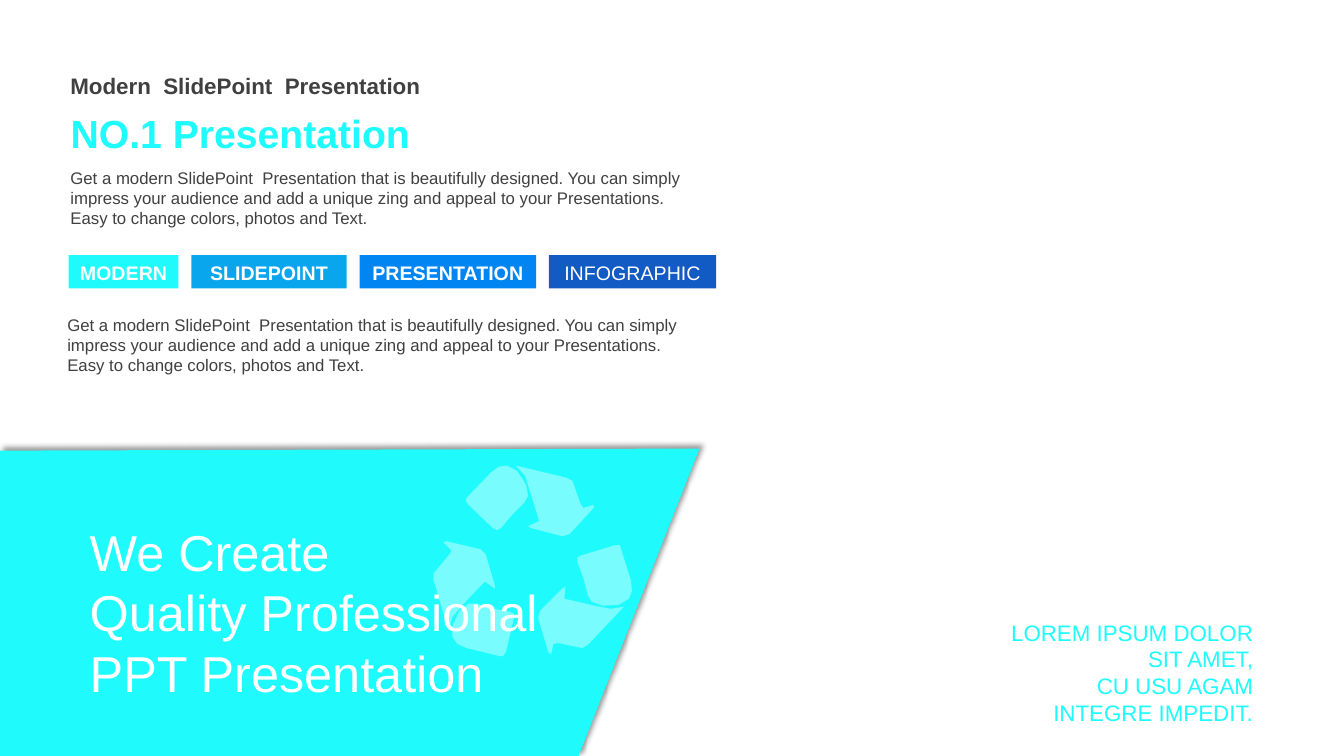
import math

from lxml import etree
from pptx import Presentation
from pptx.dml.color import RGBColor
from pptx.enum import shapes, text
from pptx.oxml import ns
from pptx.util import Pt

CYAN = RGBColor(0x1F, 0xFB, 0xFD)
SKY = RGBColor(0x0A, 0xA6, 0xED)
AZURE = RGBColor(0x00, 0x85, 0xF2)
ROYAL = RGBColor(0x12, 0x5A, 0xC4)
GREY = RGBColor(0x40, 0x40, 0x40)
WHITE = RGBColor(0xFF, 0xFF, 0xFF)
BLACK = RGBColor(0x00, 0x00, 0x00)

PITCH = ("Get a modern SlidePoint  Presentation that is beautifully designed. "
         "You can simply impress your audience and add a unique zing and appeal "
         "to your Presentations. Easy to change colors, photos and Text.")
TAGS = [("MODERN", 78.5, CYAN, True), ("SLIDEPOINT", 111, SKY, True),
        ("PRESENTATION", 126, AZURE, True), ("INFOGRAPHIC", 119.5, ROYAL, False)]
ICON_UNIT = 0.72
ICON_CENTER = (89.3, 100.7)
BAND = [(67, 0), (77, 5), (86, 19), (88, 30), (84, 37), (72, 49), (61, 62),
        (57, 64), (53, 62), (28, 38), (26, 34), (28, 31), (51, 7), (59, 1)]
ARROW = [(76, 0), (126, 12), (132, 15), (140, 38), (143, 42), (153, 39), (153, 42),
         (129, 68), (122, 70), (91, 62), (88, 60), (99, 55), (90, 26), (85, 10)]


def write(shape, words, size, color, bold=False, align=text.PP_ALIGN.LEFT,
          anchor=text.MSO_ANCHOR.TOP, insets=(7.2, 3.6, 7.2, 3.6), spacing=1.0, grow=True):
    """Fill a shape with formatted paragraphs, one per line of words."""
    frame = shape.text_frame
    frame.text = words
    frame.word_wrap = True
    frame.vertical_anchor = anchor
    frame.auto_size = (text.MSO_AUTO_SIZE.SHAPE_TO_FIT_TEXT if grow
                       else text.MSO_AUTO_SIZE.NONE)
    frame.margin_left, frame.margin_top, frame.margin_right, frame.margin_bottom = map(Pt, insets)
    for paragraph in frame.paragraphs:
        paragraph.alignment = align
        paragraph.line_spacing = spacing
        for run in paragraph.runs:
            run.font.name = "Arial"
            run.font.size = Pt(size)
            run.font.bold = bold
            run.font.color.rgb = color


def write_box(slide, box, words, size, color, **style):
    """Add a text box at the given place."""
    write(slide.shapes.add_textbox(*map(Pt, box)), words, size, color, **style)


def paint(shape, color):
    """Give a shape a plain fill without line or shadow."""
    shape.shadow.inherit = False
    shape.fill.solid()
    shape.fill.fore_color.rgb = color
    shape.line.fill.background()


def set_alpha(color_node, percent):
    """Make a colour element partly transparent."""
    etree.SubElement(color_node, ns.qn("a:alpha"), val=str(percent * 1000))


def cast_shadow(shape, blur, distance, degrees, percent):
    """Add an outer black shadow to a painted shape."""
    effects = shape.element.spPr.find(ns.qn("a:effectLst"))
    shadow = etree.SubElement(effects, ns.qn("a:outerShdw"), blurRad=str(Pt(blur)),
                              dist=str(Pt(distance)), dir=str(degrees * 60000),
                              algn="bl", rotWithShape="0")
    set_alpha(etree.SubElement(shadow, ns.qn("a:srgbClr"), val=str(BLACK)), percent)


def turn(outline, degrees):
    """Rotate an outline clockwise about the icon centre."""
    cos, sin = math.cos(math.radians(degrees)), math.sin(math.radians(degrees))
    middle_x, middle_y = ICON_CENTER
    return [(middle_x + (x - middle_x) * cos - (y - middle_y) * sin,
             middle_y + (x - middle_x) * sin + (y - middle_y) * cos) for x, y in outline]


def add_recycle_icon(slide, left, top):
    """Draw the translucent recycling arrows as three turns of one arm."""
    builder = slide.shapes.build_freeform(*BAND[0], scale=Pt(ICON_UNIT))
    for degrees in (0, 120, 240):
        for outline in (BAND, ARROW):
            points = turn(outline, degrees)
            if degrees or outline is ARROW:
                builder.move_to(*points[0])
            builder.add_line_segments(points[1:], close=True)
    icon = builder.convert_to_shape(Pt(left), Pt(top))
    paint(icon, WHITE)
    set_alpha(icon.element.spPr.find(".//" + ns.qn("a:srgbClr")), 40)


def add_intro(slide, left, top, width):
    """Place the kicker, the title and the first pitch."""
    title = slide.shapes.title
    title.left, title.top, title.width, title.height = map(Pt, (left, top + 26.6, width, 41))
    write(title, "NO.1 Presentation", 28, CYAN, bold=True)
    write_box(slide, (left, top, width, 26.6), "Modern  SlidePoint  Presentation",
              16, GREY, bold=True)
    write_box(slide, (left, top + 67.7, width, 51), PITCH, 12, GREY)


def add_tags(slide, left, top, height, gap):
    """Place the row of coloured tags."""
    row = slide.shapes.add_group_shape().shapes
    for word, width, color, bold in TAGS:
        tag = row.add_shape(shapes.MSO_SHAPE.RECTANGLE, *map(Pt, (left, top, width, height)))
        paint(tag, color)
        write(tag, word, 14, WHITE, bold=bold, align=text.PP_ALIGN.CENTER,
              anchor=text.MSO_ANCHOR.MIDDLE, insets=(7.2, 7.2, 7.2, 3.6),
              spacing=0.9, grow=False)
        left += width + gap


def add_banner(slide, left, top, width, height):
    """Place the slanted panel with its icon and slogan."""
    builder = slide.shapes.build_freeform(0, Pt(1.5))
    corners = [(width, 0), (width - 86.4, height), (0, height)]
    builder.add_line_segments([(Pt(x), Pt(y)) for x, y in corners], close=True)
    panel = builder.convert_to_shape(Pt(left), Pt(top))
    paint(panel, CYAN)
    cast_shadow(panel, 4, 3, 315, 40)
    add_recycle_icon(slide, left + 313.9, top + 12.2)
    write_box(slide, (left + 61.2, top + 51.1, 375.8, 131),
              "We Create\nQuality Professional\nPPT Presentation", 36, WHITE,
              anchor=text.MSO_ANCHOR.MIDDLE, insets=(2.9, 0, 2.9, 0))


def build():
    """Build and save the slide."""
    deck = Presentation()
    deck.slide_width, deck.slide_height = Pt(960), Pt(540)
    slide = deck.slides.add_slide(deck.slide_layouts[5])
    add_intro(slide, 43.2, 48.2, 463.7)
    add_tags(slide, 49, 182.2, 23.8, 9.2)
    write_box(slide, (41, 221, 463.7, 51), PITCH, 12, GREY)
    add_banner(slide, 0, 320.4, 499.7, 219.6)
    write_box(slide, (707.8, 437.8, 194.4, 85),
              "LOREM IPSUM DOLOR SIT AMET,\nCU USU AGAM INTEGRE IMPEDIT.", 16, CYAN,
              align=text.PP_ALIGN.RIGHT, anchor=text.MSO_ANCHOR.MIDDLE)
    deck.save("out.pptx")


if __name__ == "__main__":
    build()
